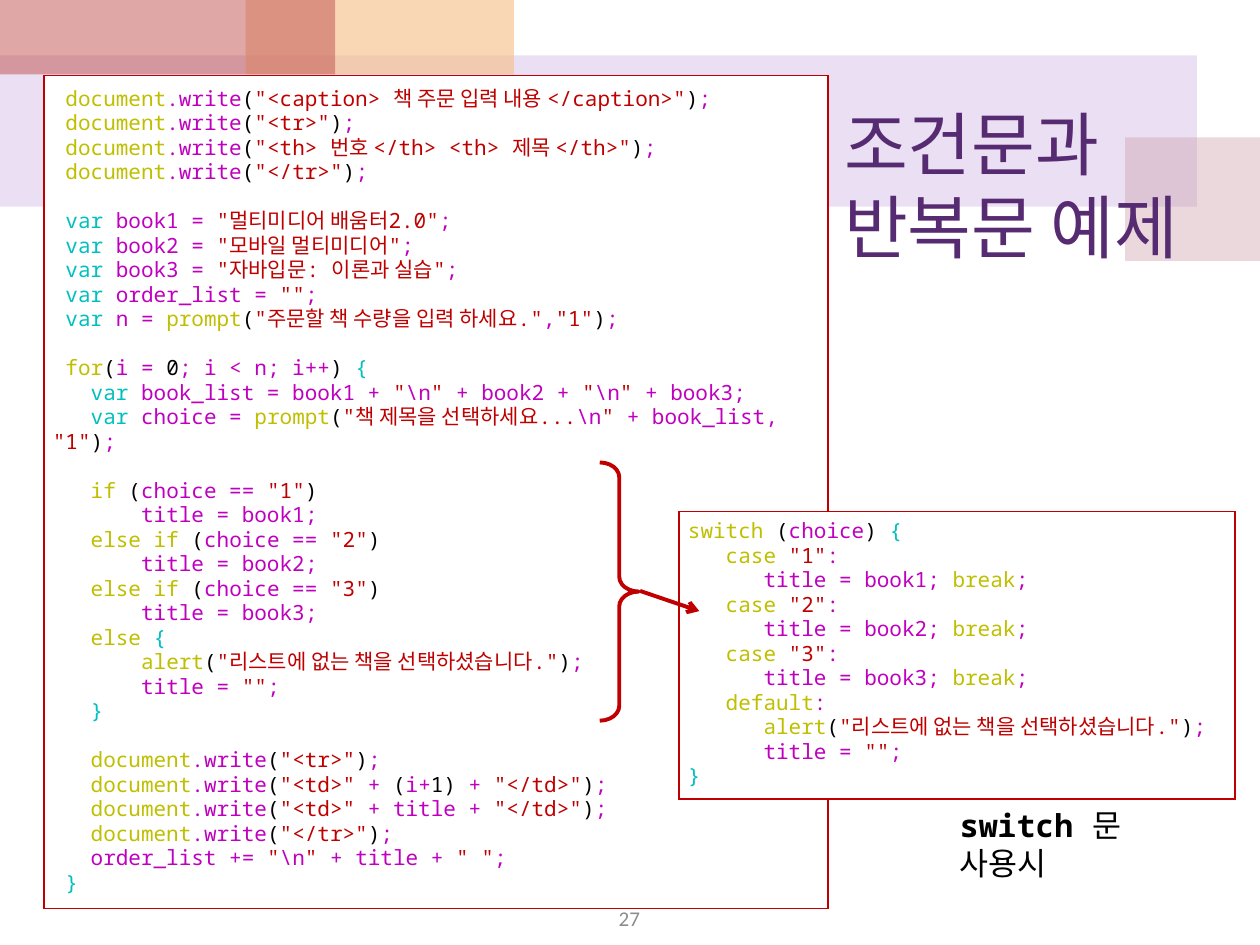
from itertools import groupby
from lxml import etree
from pptx import Presentation
from pptx.dml.color import RGBColor
from pptx.enum import shapes as sh, text as tx
from pptx.oxml import ns
from pptx.util import Inches, Pt

# Content
TITLE = "조건문과 반복문 예제"
PAGE = "27"
LABEL = [("switch ", "Noto Sans Mono", True), ("문 사용시", "Calibri", False)]

# Code blocks; each panel sets a gap between its blocks
SETUP = r'''
 document.write("<caption> 책 주문 입력 내용 </caption>");
 document.write("<tr>");
 document.write("<th> 번호 </th> <th> 제목 </th>");
 document.write("</tr>");
'''
INPUT = r'''
 var book1 = "멀티미디어 배움터2.0";
 var book2 = "모바일 멀티미디어";
 var book3 = "자바입문: 이론과 실습";
 var order_list = "";
 var n = prompt("주문할 책 수량을 입력 하세요.","1");
'''
LOOP = r'''
 for(i = 0; i < n; i++) {
   var book_list = book1 + "\n" + book2 + "\n" + book3;
   var choice = prompt("책 제목을 선택하세요...\n" + book_list, "1");
'''
CHOICE = r'''
   if (choice == "1")
       title = book1;
   else if (choice == "2")
       title = book2;
   else if (choice == "3")
       title = book3;
   else {
       alert("리스트에 없는 책을 선택하셨습니다.");
       title = "";
   }
'''
OUTPUT = r'''
   document.write("<tr>");
   document.write("<td>" + (i+1) + "</td>");
   document.write("<td>" + title + "</td>");
   document.write("</tr>");
   order_list += "\n" + title + " ";
 }
'''
SWITCH = r'''
switch (choice) {
   case "1":
      title = book1; break;
   case "2":
      title = book2; break;
   case "3":
      title = book3; break;
   default:
      alert("리스트에 없는 책을 선택하셨습니다.");
      title = "";
}
'''
OLIVE = set("document prompt alert for if else switch case break default".split())

# Colours
HEX = dict(title="562B71", page="8C8C8C", line="C00000", white="FFFFFF",
           black="000000", name="BF00BF", key="BFBF00", decl="00BFBF", quote="BF0000")
BANDS = [  # left, top, width, height, colour, opacity in percent
    (0, 0.44, 9.5, 1.2, "BF98D8", 30),
    (8.93, 1.09, 1.07, 0.98, "CC9EAC", 40),
    (1.95, 0, 2.13, 0.59, "F5BC83", 60),
    (0, 0, 2.66, 0.59, "C0504D", 50),
]
PANELS = [  # left, top, width, height, blocks
    (0.35, 0.6, 6.22, 6.61, [SETUP, INPUT, LOOP, CHOICE, OUTPUT]),
    (5.39, 4.06, 4.41, 2.28, [SWITCH]),
]
CHAR, LEAD = 0.1, Pt(14)  # width of one code letter, line pitch


def rgb(name):
    return RGBColor.from_string(HEX.get(name, name))


def put(para, text, font, size, color, bold=None):
    run = para.add_run()
    run.text = text
    run.font.name, run.font.size, run.font.bold = font, Pt(size), bold
    run.font.color.rgb = rgb(color)


def sub(parent, tag, **attrs):
    return etree.SubElement(parent, ns.qn(tag), attrs)


def pick(word, quoted, last):
    """Colour name of one token."""
    if quoted or '"' in word:
        return "name" if word == "\\" or last == "\\" else "quote"
    if word in OLIVE:
        return "key"
    if word == "var" or word in "{}":
        return "decl"
    return "black" if word in "()" or word.isdigit() else "name"


def lex(line):
    """Split a code line into (colour, text) runs."""
    parts, quoted, last = [], False, ""
    for _, group in groupby(line, lambda c: "w" if c.isalnum() or c == "_" else c):
        word = "".join(group)
        if word.isspace() and not quoted:
            hue = parts[-1][0]
        else:
            hue = pick(word, quoted, last)
        quoted ^= word.count('"') % 2 == 1
        parts.append((hue, word))
        last = word
    for hue, group in groupby(parts, lambda part: part[0]):
        yield hue, "".join(word for _, word in group)


def add_code(slide, x, y, w, h, blocks):
    table = slide.shapes.add_table(1, 1, Inches(x), Inches(y), Inches(w), Inches(h)).table
    table.first_row = table.horz_banding = False
    cell = table.cell(0, 0)
    props = cell._tc.get_or_add_tcPr()
    for side in "LRTB":
        edge = sub(props, "a:ln" + side, w=str(Pt(1)))
        sub(sub(edge, "a:solidFill"), "a:srgbClr", val=HEX["line"])
    cell.fill.solid()
    cell.fill.fore_color.rgb = rgb("white")
    cell.vertical_anchor = tx.MSO_ANCHOR.MIDDLE
    cell.margin_left = cell.margin_right = Inches(0.07)
    cell.margin_top = cell.margin_bottom = 0
    para = cell.text_frame.paragraphs[0]
    for part, block in enumerate(blocks):
        for num, line in enumerate(block.strip("\n").split("\n")):
            if part or num:
                para = cell.text_frame.add_paragraph()
            para.line_spacing = LEAD
            para.space_before = LEAD if part and not num else Pt(0)
            bare = line.lstrip()
            indent = Inches(CHAR * (len(line) - len(bare)))
            para._p.get_or_add_pPr().set("indent", str(indent))
            for hue, text in lex(bare):
                put(para, text, "Noto Sans Mono", 12, hue)


def add_box(slide, x, y, w, h):
    frame = slide.shapes.add_textbox(Inches(x), Inches(y), Inches(w), Inches(h)).text_frame
    frame.word_wrap = True
    return frame


def main():
    prs = Presentation()
    prs.slide_width, prs.slide_height = Inches(10), Inches(7.5)
    slide = prs.slides.add_slide(prs.slide_layouts[5])
    shapes = slide.shapes

    # Background bands
    for x, y, w, h, color, alpha in BANDS:
        band = shapes.add_shape(sh.MSO_SHAPE.RECTANGLE, Inches(x), Inches(y), Inches(w), Inches(h))
        band.shadow.inherit = False
        band.fill.solid()
        band.fill.fore_color.rgb = rgb(color)
        band.line.fill.background()
        tint = band._element.spPr.find(".//" + ns.qn("a:srgbClr"))
        sub(tint, "a:alpha", val=str(alpha * 1000))

    # Title, in front of the bands
    title = shapes.title
    shapes._spTree.append(title._element)
    title.left, title.top, title.width, title.height = map(Inches, (6.6, 0.59, 3.4, 1.74))
    frame = title.text_frame
    frame.word_wrap, frame.auto_size = True, tx.MSO_AUTO_SIZE.NONE
    frame.vertical_anchor = tx.MSO_ANCHOR.MIDDLE
    frame.paragraphs[0].alignment = tx.PP_ALIGN.LEFT
    put(frame.paragraphs[0], TITLE, "Calibri", 39.6, "title")

    # Page number
    frame = add_box(slide, 3.83, 7.15, 2.33, 0.27)
    frame.vertical_anchor = tx.MSO_ANCHOR.MIDDLE
    frame.paragraphs[0].alignment = tx.PP_ALIGN.CENTER
    put(frame.paragraphs[0], PAGE, "Calibri", 12, "page")

    # Code panels and label
    for panel in PANELS:
        add_code(slide, *panel)
    frame = add_box(slide, 7.52, 6.35, 2.2, 0.4)
    for text, font, bold in LABEL:
        put(frame.paragraphs[0], text, font, 18, "black", bold)

    # Brace and arrow to the switch version
    brace = shapes.add_shape(sh.MSO_SHAPE.RIGHT_BRACE, Inches(4.76), Inches(3.67),
                             Inches(0.31), Inches(2.05))
    brace.shadow.inherit = False
    brace.fill.background()
    brace.adjustments[0], brace.adjustments[1] = 0.38, 0.5
    arrow = shapes.add_connector(sh.MSO_CONNECTOR.STRAIGHT, Inches(5.08), Inches(4.69),
                                 Inches(5.55), Inches(4.85))
    for item in (brace, arrow):
        item.line.color.rgb = rgb("line")
        item.line.width = Pt(2.25)
    sub(arrow.line._get_or_add_ln(), "a:tailEnd", type="arrow")
    sub(arrow._element.spPr, "a:effectLst")

    prs.save("out.pptx")


if __name__ == "__main__":
    main()
